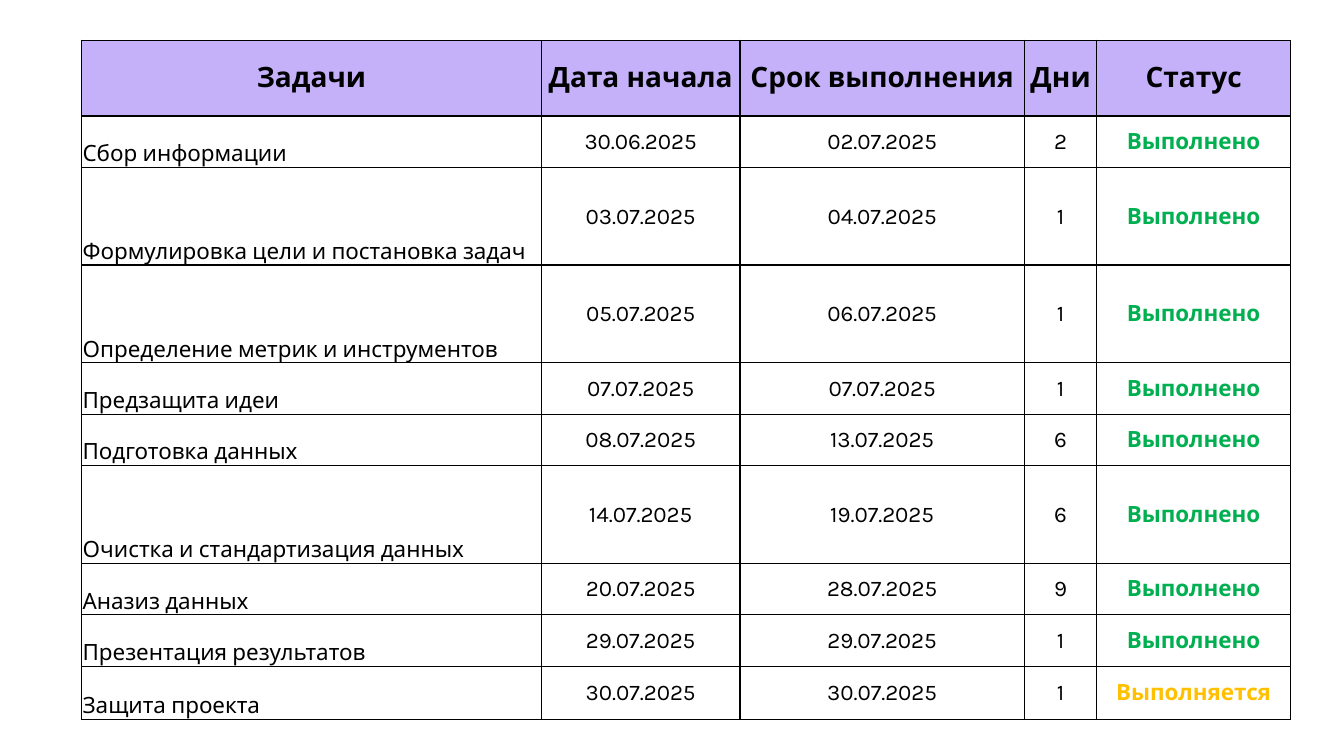
import pptx
import pptx.dml.color
import pptx.enum.text
import pptx.oxml
import pptx.oxml.ns
import pptx.util

Inches = pptx.util.Inches
RGBColor = pptx.dml.color.RGBColor
ALIGN = pptx.enum.text.PP_ALIGN
ANCHOR = pptx.enum.text.MSO_ANCHOR

BLACK = RGBColor(0x00, 0x00, 0x00)
LILAC = RGBColor(0xC4, 0xB1, 0xF9)
GREEN = RGBColor(0x00, 0xB0, 0x50)
AMBER = RGBColor(0xFF, 0xC0, 0x00)

DONE, ACTIVE = "Выполнено", "Выполняется"
STATUS_COLORS = {DONE: GREEN, ACTIVE: AMBER}

HEADINGS = ["Задачи", "Дата начала", "Срок выполнения", "Дни", "Статус"]
TASKS = [
    ["Сбор информации", "30.06.2025", "02.07.2025", "2", DONE],
    ["Формулировка цели и постановка задач", "03.07.2025", "04.07.2025", "1", DONE],
    ["Определение метрик и инструментов", "05.07.2025", "06.07.2025", "1", DONE],
    ["Предзащита идеи", "07.07.2025", "07.07.2025", "1", DONE],
    ["Подготовка данных", "08.07.2025", "13.07.2025", "6", DONE],
    ["Очистка и стандартизация данных", "14.07.2025", "19.07.2025", "6", DONE],
    ["Аназиз данных", "20.07.2025", "28.07.2025", "9", DONE],
    ["Презентация результатов", "29.07.2025", "29.07.2025", "1", DONE],
    ["Защита проекта", "30.07.2025", "30.07.2025", "1", ACTIVE],
]
COLUMN_WIDTHS = [4.56, 1.97, 2.82, 0.72, 1.92]
ROW_HEIGHTS = [0.75, 0.51, 0.97, 0.97, 0.51, 0.51, 0.97, 0.51, 0.51, 0.53]


class PageBuilder:
    """Holds the text and border style together with the current slide."""

    font = "Karla"
    border_width = pptx.util.Pt(1)
    inset = Inches(0.01)

    def __init__(self, page):
        self.page = page

    def table(self, left, top, widths, heights):
        frame = self.page.shapes.add_table(
            len(heights), len(widths), Inches(left), Inches(top),
            Inches(sum(widths)), Inches(sum(heights)))
        table = frame.table
        table.first_row = table.horz_banding = False
        for column, width in zip(table.columns, widths):
            column.width = Inches(width)
        for row, height in zip(table.rows, heights):
            row.height = Inches(height)
        return table

    def cell(self, cell, text, size=16, bold=False, color=BLACK, fill=None,
             align=ALIGN.CENTER, anchor=ANCHOR.MIDDLE):
        cell.margin_left = cell.margin_right = cell.margin_top = self.inset
        cell.margin_bottom = 0
        cell.vertical_anchor = anchor
        if fill is None:
            cell.fill.background()
        else:
            cell.fill.solid()
            cell.fill.fore_color.rgb = fill
        cell.text_frame.text = text
        para = cell.text_frame.paragraphs[0]
        para.alignment = align
        for span in para.runs:
            span.font.name = self.font
            span.font.size = pptx.util.Pt(size)
            span.font.bold = bold
            span.font.color.rgb = color
        self.borders(cell)

    def borders(self, cell):
        # Border lines must come before the fill in the cell properties
        properties = cell._tc.get_or_add_tcPr()
        for index, side in enumerate(["lnL", "lnR", "lnT", "lnB"]):
            properties.insert(index, pptx.oxml.parse_xml(
                f'<a:{side} {pptx.oxml.ns.nsdecls("a")} w="{self.border_width}">'
                f'<a:solidFill><a:srgbClr val="{BLACK}"/></a:solidFill>'
                f'<a:prstDash val="solid"/></a:{side}>'))


def main():
    deck = pptx.Presentation()
    deck.slide_width = Inches(13.33)
    deck.slide_height = Inches(7.5)
    builder = PageBuilder(deck.slides.add_slide(deck.slide_layouts[6]))
    schedule = builder.table(0.81, 0.4, COLUMN_WIDTHS, ROW_HEIGHTS)

    # Heading row
    for column, heading in enumerate(HEADINGS):
        builder.cell(schedule.cell(0, column), heading, size=20, bold=True, fill=LILAC)

    # Task rows: name, dates and days, status
    for row, (task, start, due, days, status) in enumerate(TASKS, start=1):
        builder.cell(schedule.cell(row, 0), task, align=ALIGN.LEFT, anchor=ANCHOR.BOTTOM)
        for column, value in enumerate([start, due, days], start=1):
            builder.cell(schedule.cell(row, column), value)
        builder.cell(schedule.cell(row, 4), status, bold=True, color=STATUS_COLORS[status])

    deck.save("out.pptx")


if __name__ == "__main__":
    main()
